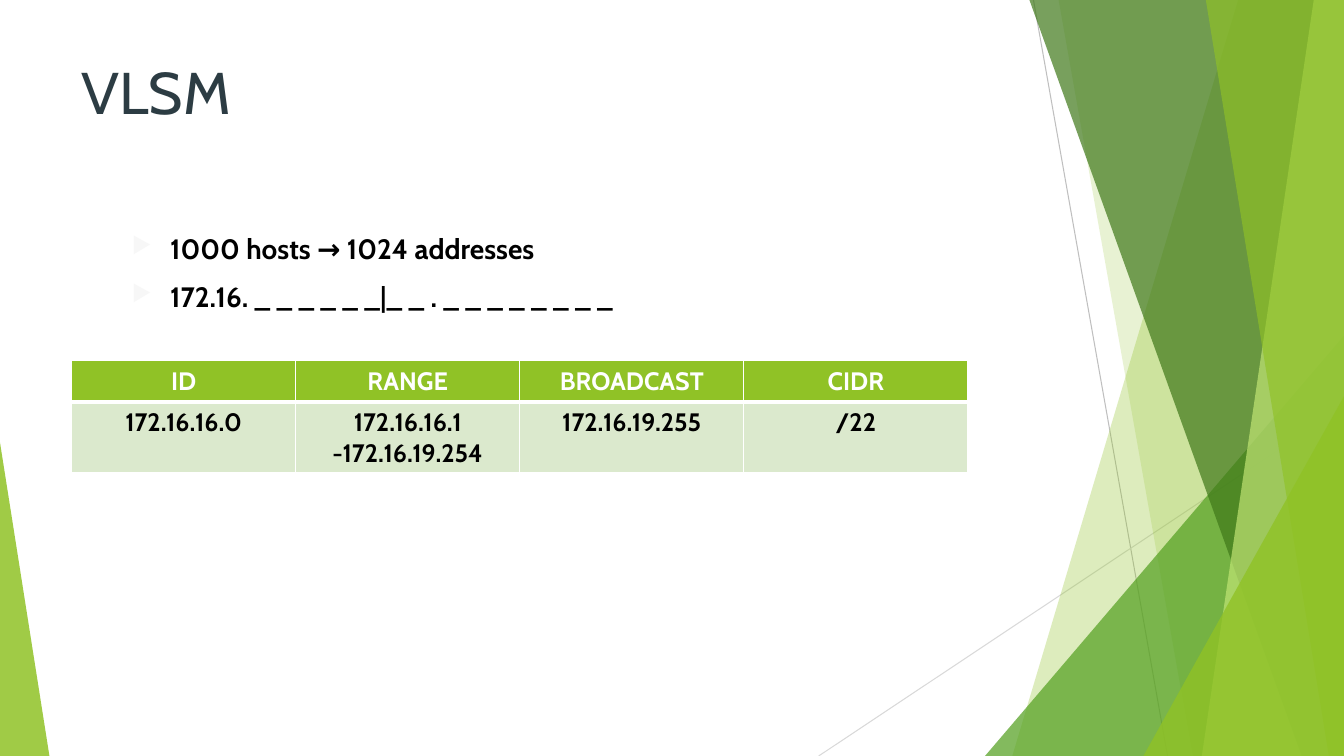
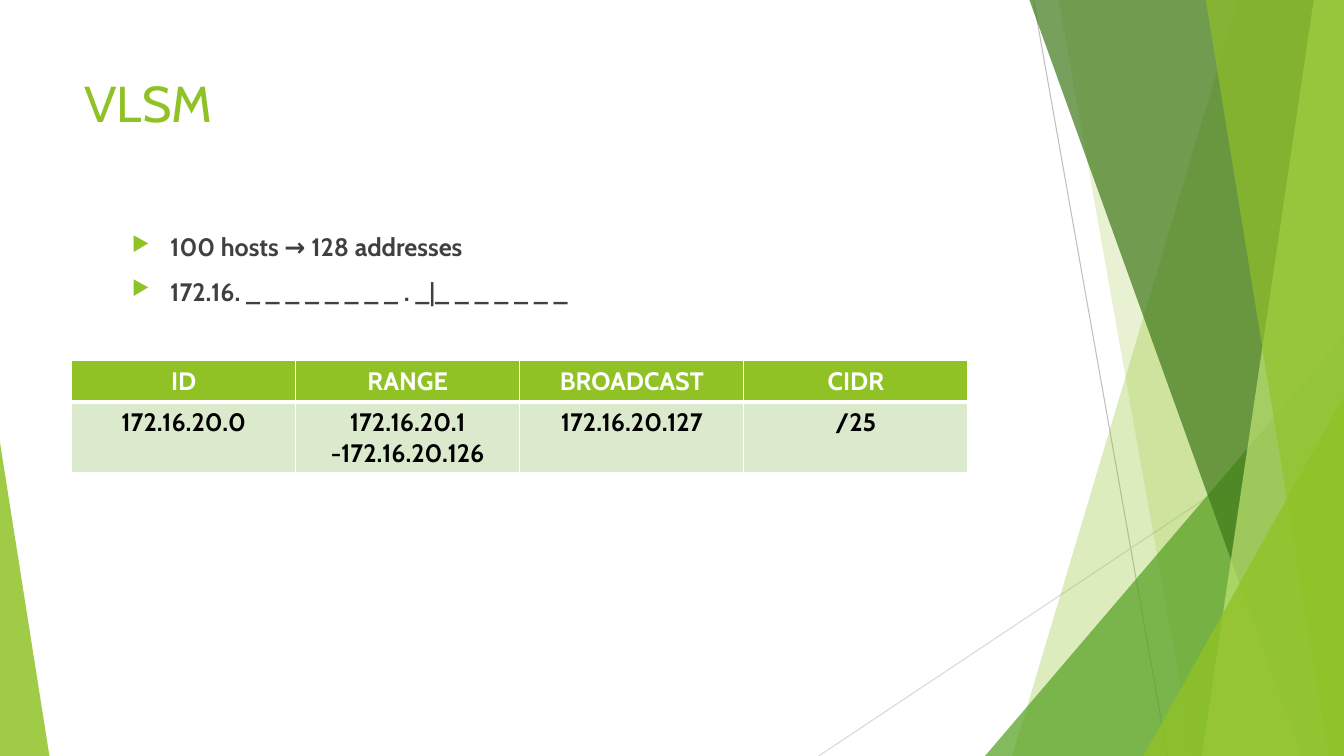
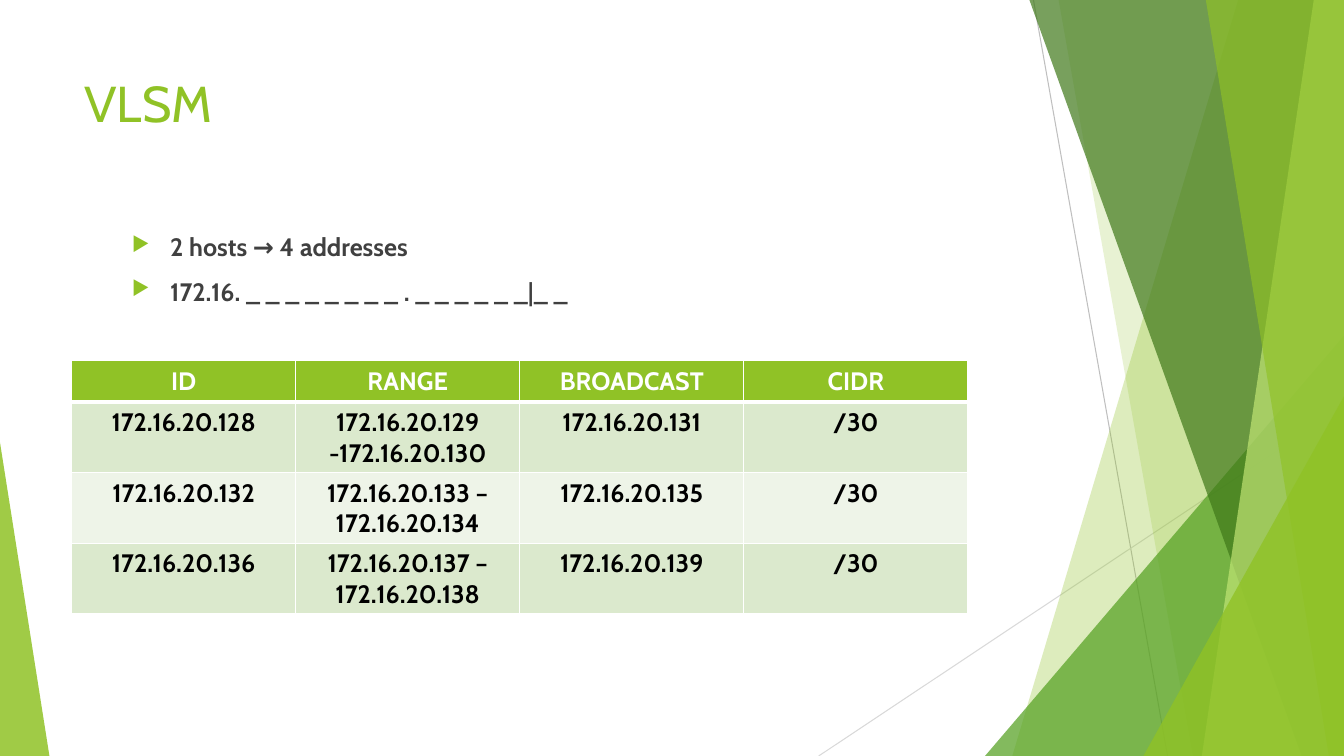
from lxml import etree
from pptx import Presentation
from pptx.dml.color import RGBColor
from pptx.enum.shapes import MSO_CONNECTOR, MSO_SHAPE
from pptx.enum.text import MSO_ANCHOR, PP_ALIGN
from pptx.oxml.ns import qn
from pptx.util import Inches, Pt

STRAIGHT = MSO_CONNECTOR.STRAIGHT
TRIANGLE = MSO_SHAPE.ISOSCELES_TRIANGLE
TOP = MSO_ANCHOR.TOP
CENTER = PP_ALIGN.CENTER

SLIDE_WIDTH, SLIDE_HEIGHT = 13.33, 7.5
FONT = "Cabin"
COLORS = {
    "lime": "90C226",
    "leaf": "54A021",
    "forest": "3F7819",
    "pale_lime": "C0E474",
    "line_dark": "BFBFBF",
    "line_light": "D9D9D9",
    "slate": "2C3C43",
    "text": "404040",
    "black": "000000",
    "white": "FFFFFF",
    "faint": "F7F7F7",
    "row_odd": "DBE9CD",
    "row_even": "EEF4E8",
}

FACET_LINES = [
    ((3.08, 0), (1.75, 7.5), "line_dark"),
    ((0, 4.03), (5.21, 7.5), "line_light"),
]
FACETS = [
    ("band", 1.05, 3.29, "lime", 30),
    ("band", 2.83, 1.5, "lime", 20),
    ("triangle", 3.56, 4.17, "leaf", 72),
    ("band", 3.12, 0.42, "forest", 70),
    ("band", 0.3, 1.41, "pale_lime", 70),
    ("band", 1.37, 0.15, "lime", 65),
    ("triangle", 1.99, 3.57, "lime", 80),
]

HEADER = ["ID", "RANGE", "BROADCAST", "CIDR"]
OPENING_STYLE = {
    "title_box": (0.71, 0.5, 10.29, 1.53), "title_size": 42, "title_color": "slate",
    "body_size": 20, "body_color": "black", "bullet_color": "faint",
}
REGULAR_STYLE = {
    "title_box": (0.74, 0.67, 9.4, 1.44), "title_size": 36, "title_color": "lime",
    "body_size": 18, "body_color": "text", "bullet_color": "lime",
}
SLIDES = [
    (
        OPENING_STYLE,
        ["1000 hosts → 1024 addresses", "172.16. _ _ _ _ _ _|_ _ . _ _ _ _ _ _ _ _"],
        [["172.16.16.0", "172.16.16.1 -172.16.19.254", "172.16.19.255", "/22"]],
    ),
    (
        REGULAR_STYLE,
        ["100 hosts → 128 addresses", "172.16. _ _ _ _ _ _ _ _ . _|_ _ _ _ _ _ _"],
        [["172.16.20.0", "172.16.20.1 -172.16.20.126", "172.16.20.127", "/25"]],
    ),
    (
        REGULAR_STYLE,
        ["2 hosts → 4 addresses", "172.16. _ _ _ _ _ _ _ _ . _ _ _ _ _ _|_ _"],
        [
            ["172.16.20.128", "172.16.20.129 -172.16.20.130", "172.16.20.131", "/30"],
            ["172.16.20.132", "172.16.20.133 – 172.16.20.134", "172.16.20.135", "/30"],
            ["172.16.20.136", "172.16.20.137 – 172.16.20.138", "172.16.20.139", "/30"],
        ],
    ),
]


def rgb(name):
    """Return the named colour."""
    return RGBColor.from_string(COLORS[name])


def add_element(parent, tag, **attributes):
    """Append a drawing element with the given attributes."""
    element = etree.SubElement(parent, qn(tag))
    for name, value in attributes.items():
        element.set(name, str(value))
    return element


def add_run(paragraph, text, size, color, bold=False):
    """Append a run in the deck's font."""
    run = paragraph.add_run()
    run.text = text
    run.font.name = FONT
    run.font.size = Pt(size)
    run.font.bold = bold
    run.font.color.rgb = rgb(color)


def paint(shape, color, opacity):
    """Give a shape a translucent fill without line or shadow."""
    shape.shadow.inherit = False
    shape.line.fill.background()
    shape.fill.solid()
    shape.fill.fore_color.rgb = rgb(color)
    color_element = shape.fill._xPr.find(qn("a:solidFill"))[0]
    add_element(color_element, "a:alpha", val=opacity * 1000)


def add_corner_triangle(slide, left, top, width, height, tip, color, opacity):
    """Draw a right triangle whose tip lies at the given share of its width."""
    triangle = slide.shapes.add_shape(
        TRIANGLE, Inches(left), Inches(top), Inches(width), Inches(height))
    triangle.adjustments[0] = tip
    paint(triangle, color, opacity)


def add_band(slide, right, top, height, top_width, bottom_width, color, opacity):
    """Draw a slanted band that reaches the right edge."""
    builder = slide.shapes.build_freeform(
        Inches(right - top_width), Inches(top), scale=1.0)
    corners = [(right, top), (right, top + height), (right - bottom_width, top + height)]
    builder.add_line_segments([(Inches(x), Inches(y)) for x, y in corners], close=True)
    paint(builder.convert_to_shape(), color, opacity)


def add_facets(slide, right, top, height):
    """Draw the faceted decoration, measured leftwards from the right edge."""
    for (start_x, start_y), (end_x, end_y), color in FACET_LINES:
        line = slide.shapes.add_connector(
            STRAIGHT, Inches(right - start_x), Inches(top + start_y),
            Inches(right - end_x), Inches(top + end_y))
        line.line.color.rgb = rgb(color)
        line.line.width = Pt(0.75)
        add_element(line._element.spPr, "a:effectLst")
    for kind, first, second, color, opacity in FACETS:
        if kind == "band":
            add_band(slide, right, top, height, first, second, color, opacity)
        else:
            add_corner_triangle(slide, right - first, top + height - second,
                                first, second, 1, color, opacity)


def add_text_frame(slide, box):
    """Add a wrapping text box and return its frame."""
    frame = slide.shapes.add_textbox(*map(Inches, box)).text_frame
    frame.word_wrap = True
    frame.vertical_anchor = TOP
    return frame


def add_title(slide, text, style):
    """Add the slide title."""
    frame = add_text_frame(slide, style["title_box"])
    add_run(frame.paragraphs[0], text, style["title_size"], style["title_color"])


def add_bullets(slide, box, items, style):
    """Add the bulleted host count and address pattern."""
    frame = add_text_frame(slide, box)
    for index, item in enumerate(items):
        paragraph = frame.add_paragraph() if index else frame.paragraphs[0]
        paragraph.space_before = Pt(10)
        add_run(paragraph, item, style["body_size"], style["body_color"], bold=True)
        properties = paragraph._p.get_or_add_pPr()
        properties.set("marL", str(Inches(0.38)))
        properties.set("indent", str(Inches(-0.38)))
        bullet_color = add_element(properties, "a:buClr")
        add_element(bullet_color, "a:srgbClr", val=COLORS[style["bullet_color"]])
        add_element(properties, "a:buSzPct", val=80000)
        add_element(properties, "a:buChar", char="▶")


def style_cell(cell, fill, top_border, bottom_border):
    """Give a cell white borders and a solid fill."""
    properties = cell._tc.get_or_add_tcPr()
    borders = {"a:lnL": 1, "a:lnR": 1, "a:lnT": top_border, "a:lnB": bottom_border}
    for tag, width in borders.items():
        border = add_element(properties, tag, w=Pt(width))
        add_element(add_element(border, "a:solidFill"), "a:srgbClr", val=COLORS["white"])
    cell.fill.solid()
    cell.fill.fore_color.rgb = rgb(fill)


def add_subnet_table(slide, left, top, width, subnets):
    """Add the table of subnets under its header row."""
    rows = [HEADER] + subnets
    heights = [0.41] + [0.7] * len(subnets)
    table = slide.shapes.add_table(
        len(rows), len(HEADER), Inches(left), Inches(top),
        Inches(width), Inches(sum(heights))).table
    for row_index, (values, height) in enumerate(zip(rows, heights)):
        table.rows[row_index].height = Inches(height)
        if row_index == 0:
            fill, color = "lime", "white"
        else:
            fill, color = ("row_odd" if row_index % 2 else "row_even"), "black"
        top_border = 3 if row_index == 1 else 1
        bottom_border = 3 if row_index == 0 else 1
        for column_index, value in enumerate(values):
            cell = table.cell(row_index, column_index)
            style_cell(cell, fill, top_border, bottom_border)
            paragraph = cell.text_frame.paragraphs[0]
            paragraph.alignment = CENTER
            add_run(paragraph, value, 18, color, bold=True)


def add_vlsm_slide(presentation, style, bullets, subnets):
    """Build one subnetting slide."""
    slide = presentation.slides.add_slide(presentation.slide_layouts[6])
    add_facets(slide, SLIDE_WIDTH, 0, SLIDE_HEIGHT)
    add_corner_triangle(slide, 0, 4.39, 0.49, 3.11, 0, "lime", 85)
    add_title(slide, "VLSM", style)
    add_bullets(slide, (1.21, 2.25, 9.78, 1.33), bullets, style)
    add_subnet_table(slide, 0.71, 3.58, 8.89, subnets)


def main():
    """Build and save the presentation."""
    presentation = Presentation()
    presentation.slide_width = Inches(SLIDE_WIDTH)
    presentation.slide_height = Inches(SLIDE_HEIGHT)
    for style, bullets, subnets in SLIDES:
        add_vlsm_slide(presentation, style, bullets, subnets)
    presentation.save("out.pptx")


if __name__ == "__main__":
    main()
